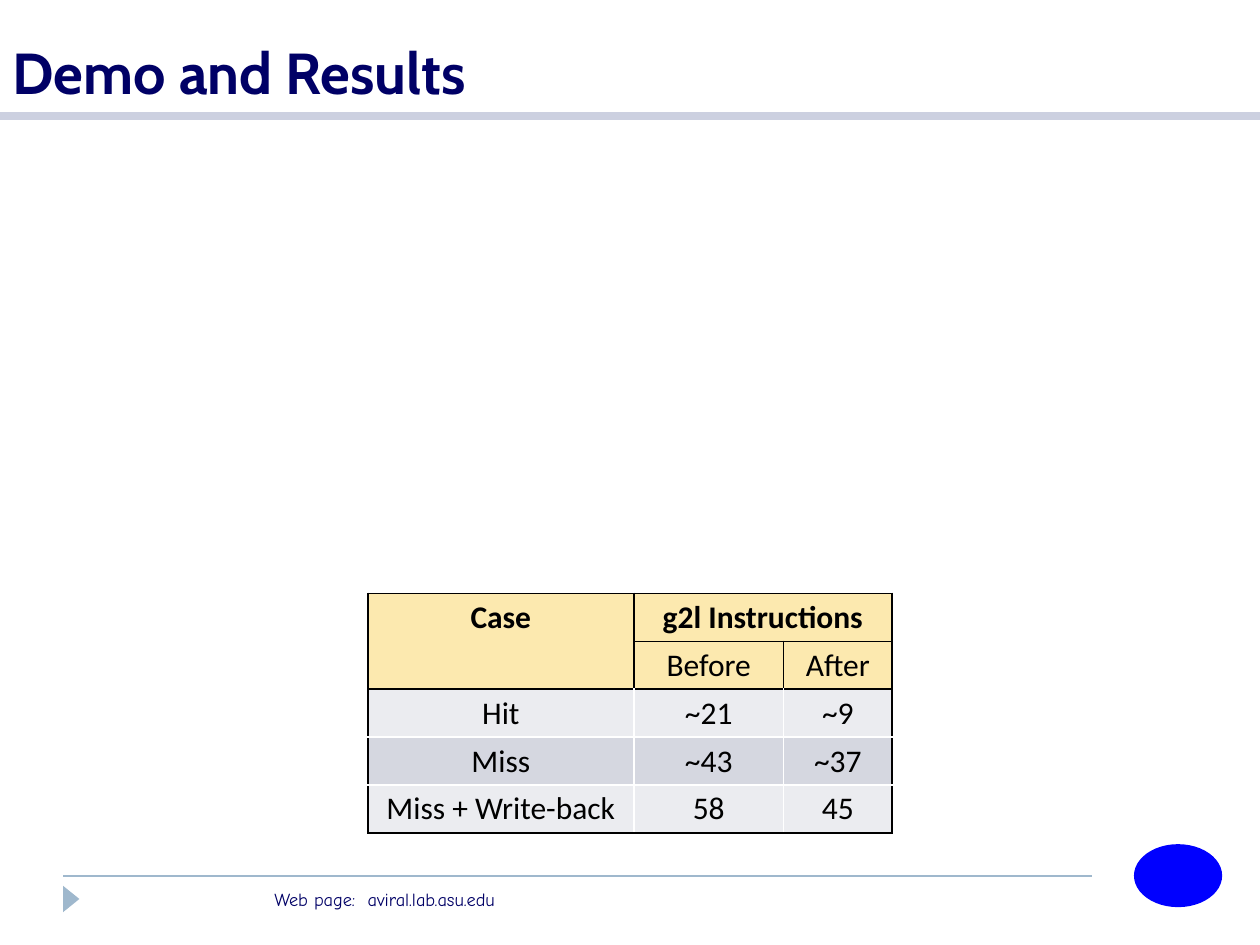
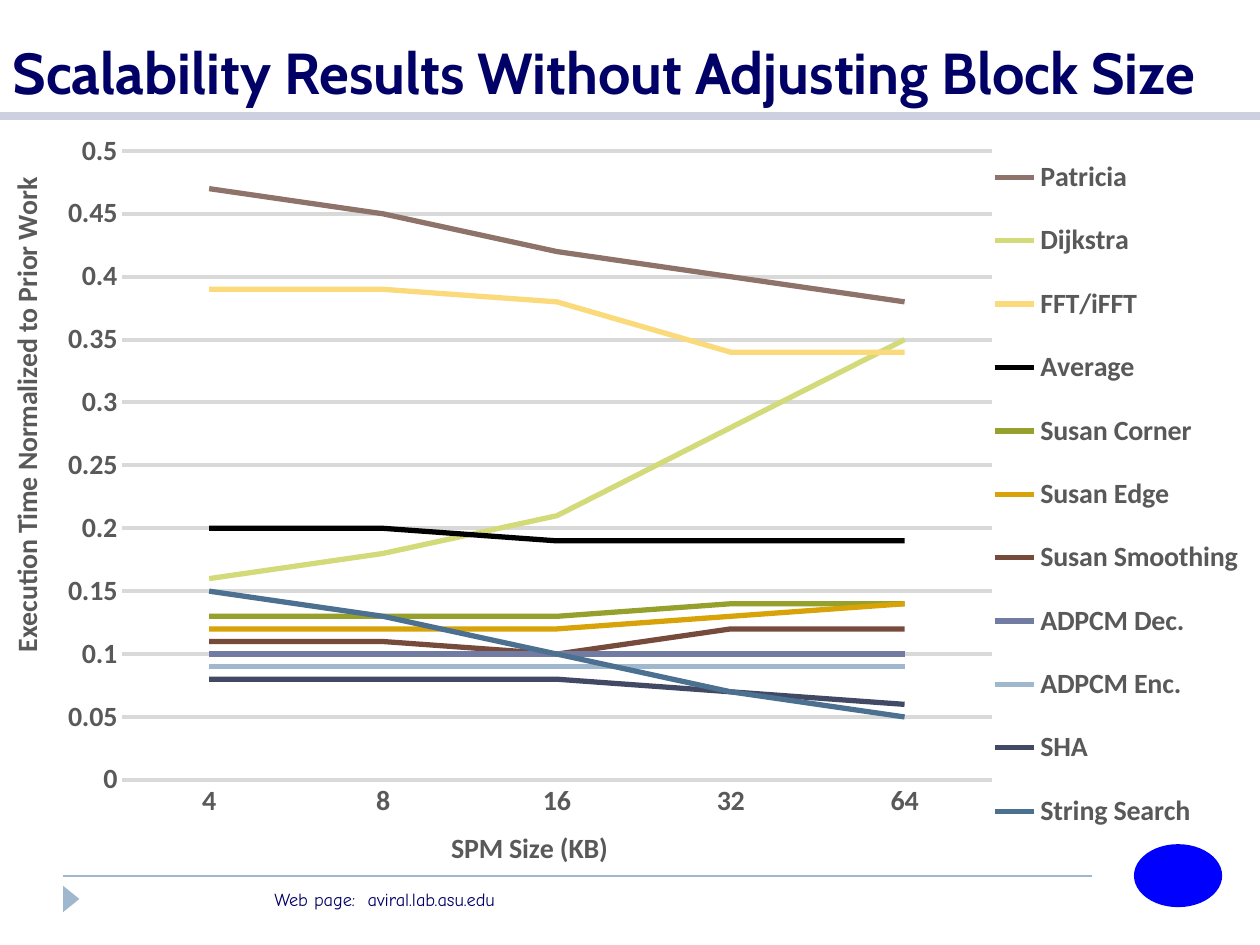
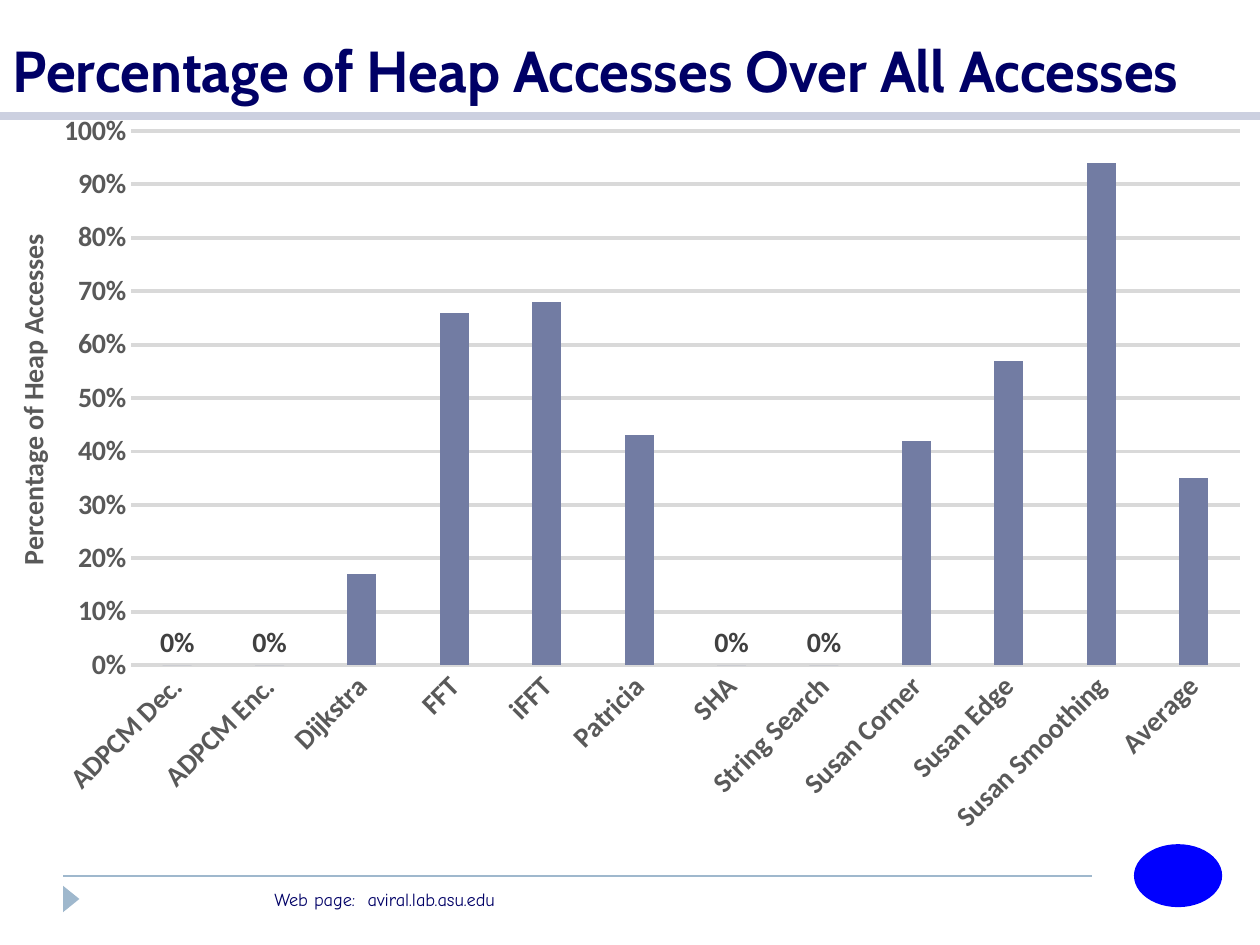
"""Build three results slides: an instruction table, a line chart and a column chart."""
from typing import NamedTuple

from pptx import Presentation
from pptx.chart import data as cd
from pptx.dml.color import RGBColor
from pptx.enum import chart as ec, shapes, text
from pptx.oxml import parse_xml
from pptx.oxml.ns import nsdecls, qn
from pptx.util import Inches, Pt

NAVY = RGBColor(0x00, 0x00, 0x66)
BLUE = RGBColor(0x00, 0x00, 0xFF)
BLACK = RGBColor(0x00, 0x00, 0x00)
WHITE = RGBColor(0xFF, 0xFF, 0xFF)
BAND = RGBColor(0xCC, 0xD0, 0xE0)
STEEL = RGBColor(0x9F, 0xB8, 0xCD)
GRAY = RGBColor(0x59, 0x59, 0x59)
LABEL = RGBColor(0x40, 0x40, 0x40)
GRID = RGBColor(0xD9, 0xD9, 0xD9)
CREAM = RGBColor(0xFC, 0xE9, 0xAF)
ROW_LIGHT = RGBColor(0xEB, 0xEC, 0xF0)
ROW_DARK = RGBColor(0xD5, 0xD7, 0xE0)
SLATE = RGBColor(0x72, 0x7C, 0xA3)
BODY_FONT = "Calibri"
CHART_W, CHART_H = 10, 6.05


class Rule(NamedTuple):
    x1: float
    x2: float
    y: float
    color: RGBColor
    width: float


class Box(NamedTuple):
    x: float
    y: float
    w: float = 0
    h: float = 0


class Line(NamedTuple):
    name: str
    color: RGBColor
    values: tuple


RULES = (Rule(0.5, 8.67, 6.95, STEEL, 1), Rule(0, 10, 0.92, BAND, 5))
TABLE_ROWS = (
    ("Case", "g2l Instructions", ""),
    ("", "Before", "After"),
    ("Hit", "~21", "~9"),
    ("Miss", "~43", "~37"),
    ("Miss + Write-back", "58", "45"),
)
TABLE_COLS = (2.11, 1.19, 0.86)
SPM_SIZES = (4, 8, 16, 32, 64)
LINES = (
    Line("Patricia", RGBColor(0x8E, 0x73, 0x6A), (0.47, 0.45, 0.42, 0.4, 0.38)),
    Line("Dijkstra", RGBColor(0xD2, 0xDA, 0x7A), (0.16, 0.18, 0.21, 0.28, 0.35)),
    Line("FFT/iFFT", RGBColor(0xFA, 0xDA, 0x7A), (0.39, 0.39, 0.38, 0.34, 0.34)),
    Line("Average", BLACK, (0.2, 0.2, 0.19, 0.19, 0.19)),
    Line("Susan Corner", RGBColor(0x96, 0xA0, 0x2C), (0.13, 0.13, 0.13, 0.14, 0.14)),
    Line("Susan Edge", RGBColor(0xD7, 0xA3, 0x08), (0.12, 0.12, 0.12, 0.13, 0.14)),
    Line("Susan Smoothing", RGBColor(0x77, 0x4B, 0x3C), (0.11, 0.11, 0.1, 0.12, 0.12)),
    Line("ADPCM Dec.", SLATE, (0.1,) * 5),
    Line("ADPCM Enc.", STEEL, (0.09,) * 5),
    Line("SHA", RGBColor(0x42, 0x49, 0x65), (0.08, 0.08, 0.08, 0.07, 0.06)),
    Line("String Search", RGBColor(0x4B, 0x70, 0x90), (0.15, 0.13, 0.1, 0.07, 0.05)),
)
HEAP_SHARES = {
    "ADPCM Dec.": 0, "ADPCM Enc.": 0, "Dijkstra": 0.17, "FFT": 0.66,
    "iFFT": 0.68, "Patricia": 0.43, "SHA": 0, "String Search": 0,
    "Susan Corner": 0.42, "Susan Edge": 0.57, "Susan Smoothing": 0.94,
    "Average": 0.35,
}


def set_font(font, size: float, color: RGBColor, bold: bool = False, name: str = BODY_FONT) -> None:
    """Set size, colour, weight and face of a font."""
    font.size, font.bold, font.name = Pt(size), bold, name
    font.color.rgb = color


def add_rule(s, rule: Rule) -> None:
    """Draw a horizontal line."""
    cx = s.shapes.add_connector(shapes.MSO_CONNECTOR.STRAIGHT, Inches(rule.x1), Inches(rule.y),
                                Inches(rule.x2), Inches(rule.y))
    cx.line.color.rgb = rule.color
    cx.line.width = Pt(rule.width)
    cx._element.spPr.append(parse_xml(f"<a:effectLst {nsdecls('a')}/>"))


def add_mark(s, kind, box: Box, color: RGBColor, rotation: float = 0) -> None:
    """Draw a plain filled shape."""
    sp = s.shapes.add_shape(kind, *map(Inches, box))
    sp.shadow.inherit = False
    sp.fill.solid()
    sp.fill.fore_color.rgb = color
    sp.line.fill.background()
    sp.rotation = rotation


def add_footer(s) -> None:
    """Write the web page line, with a tab stop before the address."""
    tf = s.shapes.add_textbox(Inches(2.08), Inches(7), Inches(3.75), Inches(0.28)).text_frame
    tf.word_wrap = True
    p = tf.paragraphs[0]
    p.text = "Web page:\taviral.lab.asu.edu"
    p._p.get_or_add_pPr().append(parse_xml(
        f'<a:tabLst {nsdecls("a")}><a:tab pos="{Inches(0.74)}" algn="l"/></a:tabLst>'))
    set_font(p.runs[0].font, 10.5, NAVY, name="Comic Neue")


def add_slide(prs, title: str, title_height: float = 0.89):
    """Add a slide with the shared rules, footer and title."""
    s = prs.slides.add_slide(prs.slide_layouts[5])
    for rule in RULES:
        add_rule(s, rule)
    add_footer(s)
    add_mark(s, shapes.MSO_SHAPE.ISOSCELES_TRIANGLE, Box(0.46, 7.07, 0.21, 0.13), STEEL, 90)
    add_mark(s, shapes.MSO_SHAPE.OVAL, Box(9, 6.7, 0.7, 0.5), BLUE)
    sp = s.shapes.title
    sp.left, sp.top, sp.width, sp.height = map(Inches, (0, 0, 10, title_height))
    tf = sp.text_frame
    tf.text = title
    tf.auto_size = text.MSO_AUTO_SIZE.NONE
    tf.vertical_anchor = text.MSO_ANCHOR.BOTTOM
    p = tf.paragraphs[0]
    p.alignment = text.PP_ALIGN.LEFT
    set_font(p.runs[0].font, 33, NAVY, True, "Cabin")
    return s


def set_borders(cell, edges: dict) -> None:
    """Give a cell one-point borders, keyed by side."""
    tc_pr = cell._tc.get_or_add_tcPr()
    for side, color in edges.items():
        tc_pr.append(parse_xml(
            f'<a:ln{side} {nsdecls("a")} w="{Pt(1)}"><a:solidFill><a:srgbClr val="{color}"/>'
            f"</a:solidFill></a:ln{side}>"))


def add_case_table(s) -> None:
    """Draw the instruction counts under a two-row header."""
    last_row, last_col = len(TABLE_ROWS) - 1, len(TABLE_COLS) - 1
    table = s.shapes.add_table(last_row + 1, last_col + 1, Inches(2.92), Inches(4.71),
                               Inches(sum(TABLE_COLS)), Inches(1.9)).table
    table.first_row = table.horz_banding = False
    for column, width in zip(table.columns, TABLE_COLS):
        column.width = Inches(width)
    for i, row in enumerate(TABLE_ROWS):
        table.rows[i].height = Inches(0.38)
        for j, label in enumerate(row):
            cell = table.cell(i, j)
            header = i < 2
            black = {"L": header or j == 0, "R": header or j == last_col,
                     "T": i <= 2, "B": header or i == last_row}
            set_borders(cell, {side: BLACK if on else WHITE for side, on in black.items()})
            cell.fill.solid()
            cell.fill.fore_color.rgb = CREAM if header else (ROW_LIGHT, ROW_DARK)[i % 2]
            cell.margin_left = cell.margin_right = Inches(0.08)
            cell.margin_top = cell.margin_bottom = Inches(0.04)
            p = cell.text_frame.paragraphs[0]
            p.text = label
            p.alignment = text.PP_ALIGN.CENTER
            for r in p.runs:
                set_font(r.font, 18, BLACK, i == 0)
    table.cell(0, 0).merge(table.cell(1, 0))
    table.cell(0, 1).merge(table.cell(0, 2))


def set_layout(element, box: Box, index: int, inner: bool = False) -> None:
    """Place a chart part by inches from the chart's corner."""
    for old in element.findall(qn("c:layout")):
        element.remove(old)
    target = '<c:layoutTarget val="inner"/>' if inner else ""
    modes = '<c:xMode val="edge"/><c:yMode val="edge"/>'
    sizes = "".join(f'<c:{key} val="{value / whole}"/>' for (key, value), whole
                    in zip(box._asdict().items(), (CHART_W, CHART_H) * 2) if value)
    element.insert(index, parse_xml(
        f'<c:layout {nsdecls("c")}><c:manualLayout>{target}{modes}{sizes}'
        "</c:manualLayout></c:layout>"))


def add_axis_title(axis, title: str, box: Box, rotation: int = 0) -> None:
    """Title an axis at a set place."""
    tf = axis.axis_title.text_frame
    tf.text = title
    set_font(tf.paragraphs[0].runs[0].font, 16, GRAY, True)
    tf._txBody.find(qn("a:bodyPr")).set("rot", str(rotation * 60000))
    set_layout(axis.axis_title.element, box, 1)


def add_styled_chart(s, kind, data, y: float, plot_box: Box, top: float, step: float, number_format: str):
    """Add a chart with the shared axis style."""
    chart = s.shapes.add_chart(kind, Inches(0), Inches(y), Inches(CHART_W), Inches(CHART_H), data).chart
    chart.has_title = chart.has_legend = False
    set_font(chart.font, 10, BLACK)
    set_layout(chart.element.xpath("c:chart/c:plotArea")[0], plot_box, 0, True)
    chart.plots[0].vary_by_categories = False
    category, value = chart.category_axis, chart.value_axis
    for axis in (category, value):
        axis.major_tick_mark = axis.minor_tick_mark = ec.XL_TICK_MARK.NONE
        set_font(axis.tick_labels.font, 16, GRAY, True)
    category.format.line.color.rgb = GRID
    category.format.line.width = Pt(0.75)
    value.format.line.fill.background()
    value.minimum_scale, value.maximum_scale, value.major_unit = 0, top, step
    value.tick_labels.number_format = number_format
    value.tick_labels.number_format_is_linked = False
    value.has_major_gridlines = True
    value.major_gridlines.format.line.color.rgb = GRID
    value.major_gridlines.format.line.width = Pt(2.25)
    return chart


def add_scalability_chart(s) -> None:
    """Draw execution time against SPM size, one line per benchmark."""
    data = cd.CategoryChartData()
    data.categories = SPM_SIZES
    for line in LINES:
        data.add_series(line.name, line.values)
    chart = add_styled_chart(s, ec.XL_CHART_TYPE.LINE, data, 0.89,
                             Box(0.97, 0.31, 6.9, 5.02), 0.5, 0.05, "General")
    for series, line in zip(chart.plots[0].series, LINES):
        series.smooth = False
        series.marker.style = ec.XL_MARKER_STYLE.NONE
        series.format.line.color.rgb = line.color
        series.format.line.width = Pt(3)
    add_axis_title(chart.category_axis, "SPM Size (KB)", Box(3.54, 5.68))
    add_axis_title(chart.value_axis, "Execution Time Normalized to Prior Work", Box(0.02, 0.5), -90)
    chart.has_legend = True
    chart.legend.position = ec.XL_LEGEND_POSITION.BOTTOM
    chart.legend.include_in_layout = False
    set_font(chart.legend.font, 16, GRAY, True)
    set_layout(chart.element.xpath("c:chart/c:legend")[0], Box(7.81, 0.15, 2.1, 5.8), 1)


def add_heap_chart(s) -> None:
    """Draw the heap share per benchmark and label the zero columns."""
    data = cd.CategoryChartData(number_format="0%")
    data.categories = list(HEAP_SHARES)
    data.add_series("Series 1", HEAP_SHARES.values())
    chart = add_styled_chart(s, ec.XL_CHART_TYPE.COLUMN_CLUSTERED, data, 0.87,
                             Box(1.04, 0.17, 8.8, 4.24), 1, 0.1, "0%")
    chart.plots[0].gap_width, chart.plots[0].overlap = 219, -27
    series = chart.plots[0].series[0]
    series.format.fill.solid()
    series.format.fill.fore_color.rgb = SLATE
    series.data_labels.show_value = False
    for i, share in enumerate(HEAP_SHARES.values()):
        if share == 0:
            label = series.points[i].data_label
            label.position = ec.XL_LABEL_POSITION.OUTSIDE_END
            set_font(label.font, 16, LABEL, True)
    chart.element.xpath(".//c:catAx/c:txPr/a:bodyPr")[0].set("rot", str(-45 * 60000))
    add_axis_title(chart.value_axis, "Percentage of Heap Accesses", Box(0.07, 0.95), -90)


def main() -> None:
    """Build and save the presentation."""
    prs = Presentation()
    prs.slide_width, prs.slide_height = Inches(10), Inches(7.5)
    add_case_table(add_slide(prs, "Demo and Results"))
    add_scalability_chart(add_slide(prs, "Scalability Results Without Adjusting Block Size"))
    add_heap_chart(add_slide(prs, "Percentage of Heap Accesses Over All Accesses", 0.88))
    prs.save("out.pptx")


if __name__ == "__main__":
    main()
